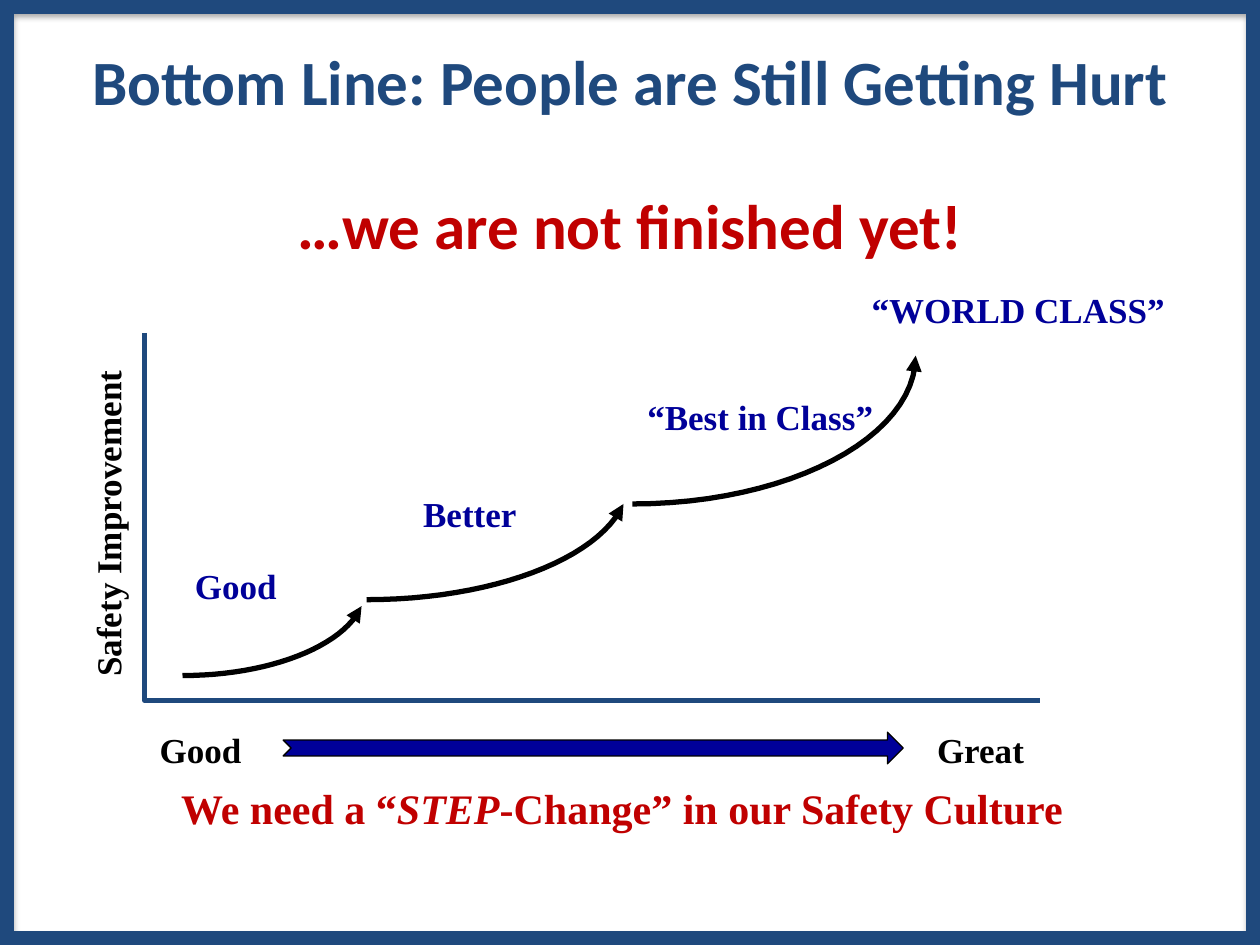
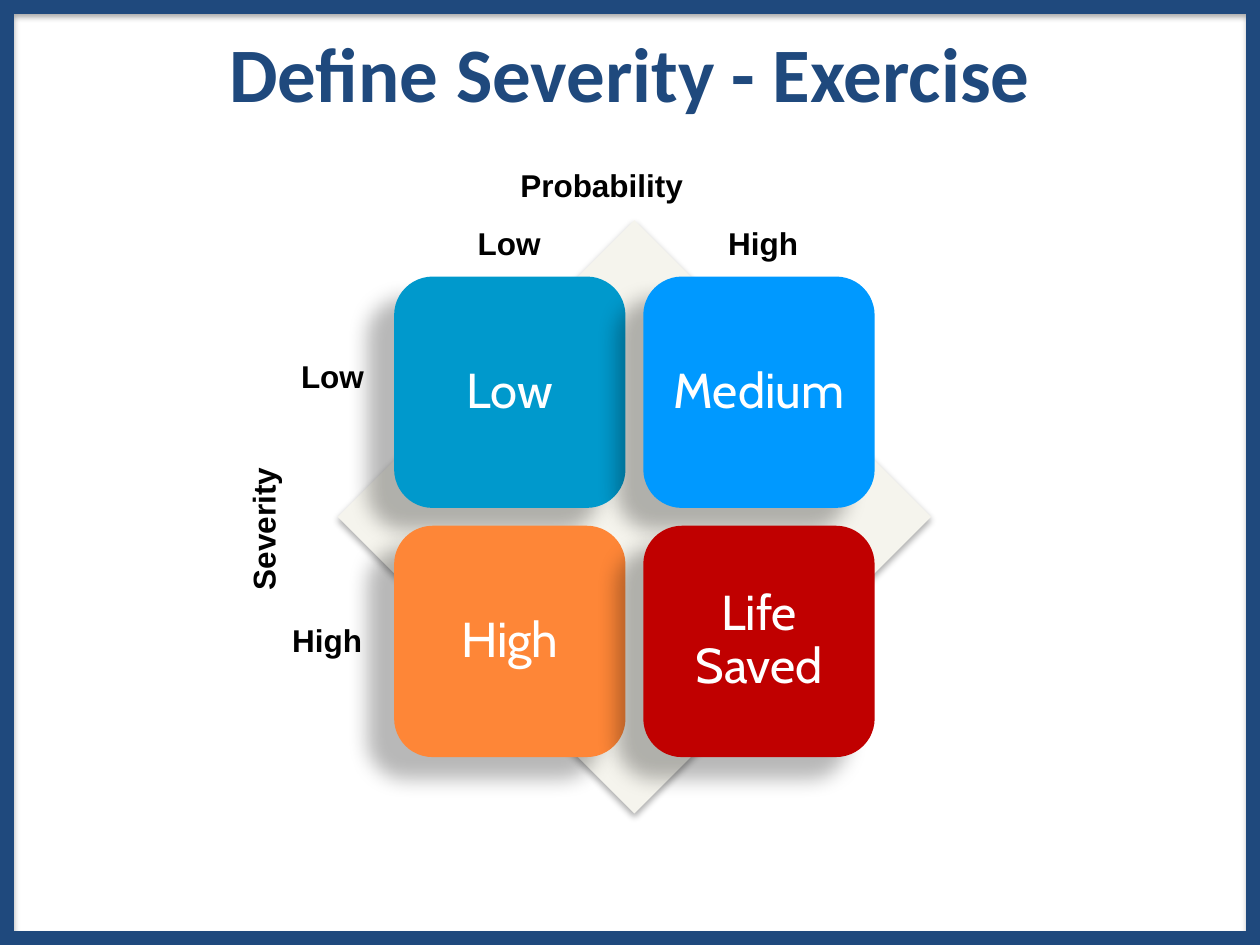
from dataclasses import dataclass

from lxml.etree import SubElement
from pptx import Presentation
from pptx.dml.color import RGBColor
from pptx.enum.shapes import MSO_SHAPE
from pptx.enum.text import MSO_ANCHOR, MSO_AUTO_SIZE, PP_ALIGN
from pptx.oxml.ns import qn
from pptx.util import Cm, Pt

NAVY = RGBColor(0x1F, 0x49, 0x7D)
INK_BLUE = RGBColor(0x00, 0x00, 0x99)
RED = RGBColor(0xC0, 0x00, 0x00)
BLACK = RGBColor(0x00, 0x00, 0x00)
WHITE = RGBColor(0xFF, 0xFF, 0xFF)
IVORY = RGBColor(0xF5, 0xF4, 0xED)
TEAL = RGBColor(0x00, 0x99, 0xCC)
AZURE = RGBColor(0x00, 0x99, 0xFF)
ORANGE = RGBColor(0xFE, 0x86, 0x37)

HEADING_FONT = "Calibri"
CURVE_FONT = "Times New Roman"
MATRIX_FONT = "Arial"
TILE_FONT = "Cabin"
SLIDE_WIDTH, SLIDE_HEIGHT = 25.4, 19.05


@dataclass
class Box:
    left: float
    top: float
    width: float
    height: float

    def inner(self, dx, dy, width, height):
        return Box(self.left + dx, self.top + dy, width, height)

    def lengths(self):
        return Cm(self.left), Cm(self.top), Cm(self.width), Cm(self.height)


def style_runs(paragraph, font_name, size, color, bold=True):
    for run in paragraph.runs:
        run.font.name = font_name
        run.font.size = Pt(size)
        run.font.bold = bold
        run.font.color.rgb = color


def add_label(slide, box, text, font_name, size, color,
              align=PP_ALIGN.LEFT, wrap=False, rotation=0):
    label = slide.shapes.add_textbox(*box.lengths())
    label.rotation = rotation
    frame = label.text_frame
    frame.word_wrap = wrap
    frame.auto_size = MSO_AUTO_SIZE.SHAPE_TO_FIT_TEXT
    paragraph = frame.paragraphs[0]
    paragraph.alignment = align
    pieces = [text] if isinstance(text, str) else text
    for piece in pieces:
        paragraph.add_run().text = piece
    style_runs(paragraph, font_name, size, color)
    return paragraph


def paint(shape, fill=None, line=None, line_width=0.75):
    shape.shadow.inherit = False
    if fill is None:
        shape.fill.background()
    else:
        shape.fill.solid()
        shape.fill.fore_color.rgb = fill
    if line is None:
        shape.line.fill.background()
    else:
        shape.line.color.rgb = line
        shape.line.width = Pt(line_width)


def extend_line(shape, tag, **attributes):
    SubElement(shape.element.spPr.find(qn("a:ln")), qn(tag), **attributes)


def cast_shadow(shape, opacity, blur, distance, angle):
    effects = shape.element.spPr.find(qn("a:effectLst"))
    shadow = SubElement(effects, qn("a:outerShdw"), blurRad=str(Pt(blur)),
                        dist=str(Pt(distance)), dir=str(angle * 60000),
                        rotWithShape="0")
    tint = SubElement(shadow, qn("a:srgbClr"), val=str(BLACK))
    SubElement(tint, qn("a:alpha"), val=str(opacity * 1000))


def add_master_border(master, slide):
    inset = 0.13
    box = Box(inset, inset, SLIDE_WIDTH - 2 * inset, SLIDE_HEIGHT - 2 * inset)
    border = slide.shapes.add_shape(MSO_SHAPE.RECTANGLE, *box.lengths())
    paint(border, line=NAVY, line_width=8.75)
    extend_line(border, "a:miter", lim="800000")
    cast_shadow(border, 35, 3.1, 1.8, 90)
    master.shapes.element.insert(2, border.element)


def set_title(slide, box, text, size):
    title = slide.shapes.title
    title.left, title.top, title.width, title.height = box.lengths()
    frame = title.text_frame
    frame.text = text
    frame.word_wrap = True
    frame.auto_size = MSO_AUTO_SIZE.NONE
    frame.vertical_anchor = MSO_ANCHOR.MIDDLE
    frame.paragraphs[0].alignment = PP_ALIGN.CENTER
    style_runs(frame.paragraphs[0], HEADING_FONT, size, NAVY)


def add_path(slide, box, points, color):
    stops = [(Cm(box.left + x), Cm(box.top + y)) for x, y in points]
    builder = slide.shapes.build_freeform(*stops[0])
    builder.add_line_segments(stops[1:], close=False)
    outline = builder.convert_to_shape()
    paint(outline, line=color, line_width=3)
    return outline


def bezier(start, control_1, control_2, end, steps=24):
    for step in range(steps + 1):
        t = step / steps
        weights = ((1 - t) ** 3, 3 * t * (1 - t) ** 2, 3 * t * t * (1 - t), t ** 3)
        corners = (start, control_1, control_2, end)
        yield tuple(sum(w * c[axis] for w, c in zip(weights, corners))
                    for axis in (0, 1))


def add_improvement_curve(slide, box):
    steps = (
        ((0.76, 6.91), (2.51, 6.91), (4.01, 6.32), (4.37, 5.51)),
        ((4.47, 5.38), (6.99, 5.38), (9.14, 4.57), (9.65, 3.45)),
        ((9.83, 3.45), (12.98, 3.45), (15.54, 2.11), (15.54, 0.46)),
    )
    for step in steps:
        arc = add_path(slide, box, list(bezier(*step)), BLACK)
        extend_line(arc, "a:tailEnd", type="triangle")
    add_path(slide, box, [(0, 0), (0, box.height), (box.width, box.height)], NAVY)

    add_label(slide, box.inner(-4.11, 3.26, 6.73, 1.12), "Safety Improvement",
              CURVE_FONT, 20, BLACK, rotation=270)
    levels = (
        ("Good", 0.76, 4.55, 2.36, INK_BLUE, False),
        ("Better", 5.36, 3.1, 2.41, INK_BLUE, False),
        ("Good", 0.05, 7.85, 2.16, BLACK, False),
        ("Great", 15.72, 7.85, 2.29, BLACK, False),
        ("“Best in Class”", 9.88, 1.14, 5.11, INK_BLUE, True),
        ("“WORLD CLASS”", 14.4, -1.02, 6.6, INK_BLUE, True),
    )
    for text, dx, dy, width, color, wrap in levels:
        add_label(slide, box.inner(dx, dy, width, 1.12), text,
                  CURVE_FONT, 20, color, wrap=wrap)

    progress = slide.shapes.add_shape(MSO_SHAPE.NOTCHED_RIGHT_ARROW,
                                      *box.inner(2.79, 8.05, 12.5, 0.64).lengths())
    paint(progress, fill=INK_BLUE, line=BLACK)


def add_tile(slide, box, text, color):
    tile = slide.shapes.add_shape(MSO_SHAPE.ROUNDED_RECTANGLE, *box.lengths())
    paint(tile, fill=color)
    cast_shadow(tile, 28, 11.8, 19.7, 141)
    frame = tile.text_frame
    frame.text = text
    frame.word_wrap = True
    frame.vertical_anchor = MSO_ANCHOR.MIDDLE
    frame.margin_left = frame.margin_right = Cm(0.3)
    frame.margin_top = frame.margin_bottom = Cm(0.3)
    paragraph = frame.paragraphs[0]
    paragraph.alignment = PP_ALIGN.CENTER
    paragraph.line_spacing = 0.9
    style_runs(paragraph, TILE_FONT, 28, WHITE, bold=False)


def add_risk_matrix(slide, box):
    diamond = slide.shapes.add_shape(MSO_SHAPE.DIAMOND, *box.lengths())
    paint(diamond, fill=IVORY)
    cast_shadow(diamond, 32, 3.5, 2.2, 90)

    offset, pitch, side = (box.width * part for part in (0.095, 0.42, 0.39))
    ratings = ((("Low", TEAL), ("Medium", AZURE)),
               (("High", ORANGE), ("Life Saved", RED)))
    for row, cells in enumerate(ratings):
        for column, (text, color) in enumerate(cells):
            place = box.inner(offset + column * pitch, offset + row * pitch, side, side)
            add_tile(slide, place, text, color)

    captions = (
        ("Probability", 3.43, -1.22, 5.11, 1.32, 0),
        ("Severity", -3.35, 5.05, 3.99, 1.32, 270),
        ("Low", -0.99, 2.64, 1.8, 1.02, 0),
        ("High", -1.17, 7.95, 1.93, 1.02, 0),
        ("Low", 2.57, -0.05, 1.8, 1.02, 0),
        ("High", 7.62, -0.05, 1.93, 1.02, 0),
    )
    for text, dx, dy, width, height, rotation in captions:
        add_label(slide, box.inner(dx, dy, width, height), text,
                  MATRIX_FONT, 18, BLACK, rotation=rotation)


def build_bottom_line(slide):
    set_title(slide, Box(0, 0.38, SLIDE_WIDTH, 2.49),
              "Bottom Line: People are Still Getting Hurt", 36)
    add_improvement_curve(slide, Box(2.92, 6.71, 18.05, 7.41))
    add_label(slide, Box(0, 3.63, SLIDE_WIDTH, 1.8), "…we are not finished yet!",
              HEADING_FONT, 36, RED, PP_ALIGN.CENTER, wrap=True)
    call = add_label(slide, Box(0.25, 15.65, 24.79, 1.27),
                     ("We need a “", "STEP", "-Change” in our Safety Culture "),
                     CURVE_FONT, 24, RED, PP_ALIGN.CENTER, wrap=True)
    call.runs[1].font.italic = True


def build_severity_exercise(slide):
    set_title(slide, Box(0, 0.36, SLIDE_WIDTH, 2.18), "Define Severity - Exercise", 44)
    add_risk_matrix(slide, Box(6.81, 4.44, 11.96, 11.96))


def main():
    deck = Presentation()
    deck.slide_width = Cm(SLIDE_WIDTH)
    deck.slide_height = Cm(SLIDE_HEIGHT)
    title_only = deck.slide_layouts[5]
    bottom_line = deck.slides.add_slide(title_only)
    add_master_border(deck.slide_master, bottom_line)
    build_bottom_line(bottom_line)
    build_severity_exercise(deck.slides.add_slide(title_only))
    deck.save("out.pptx")


if __name__ == "__main__":
    main()
